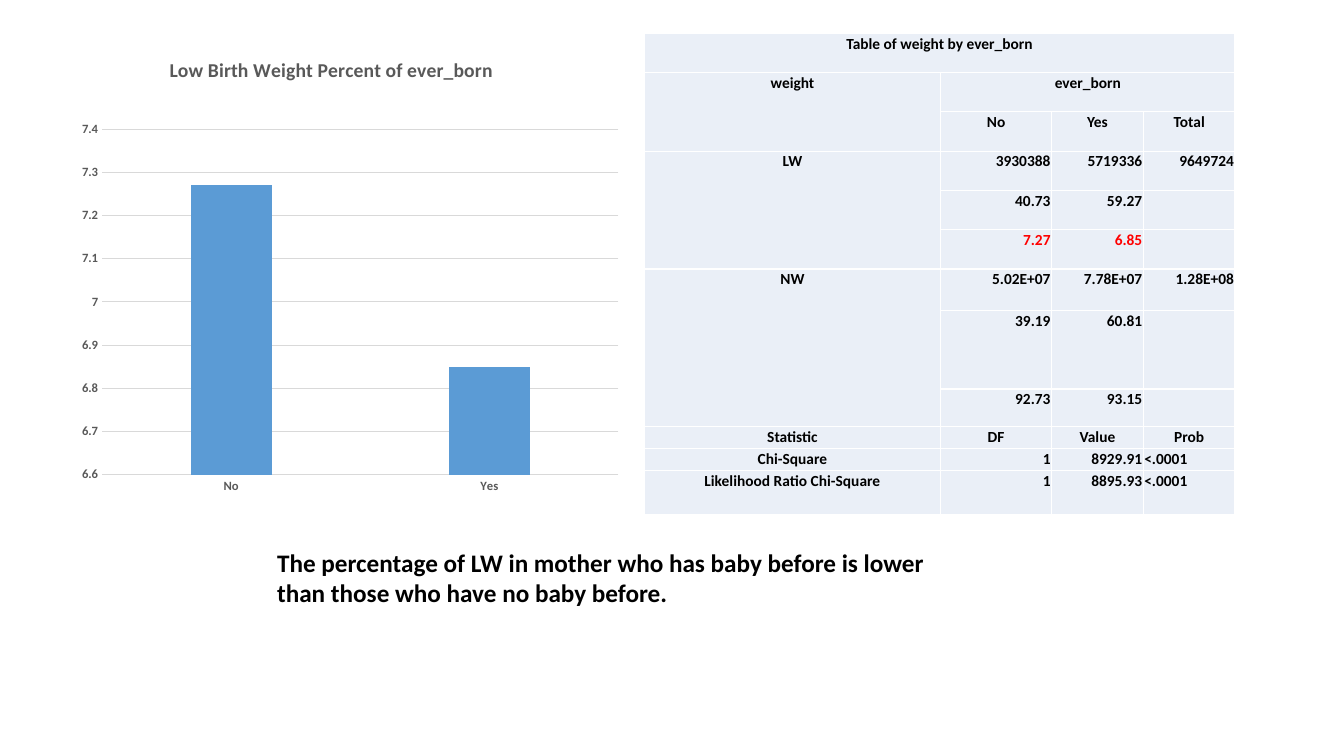
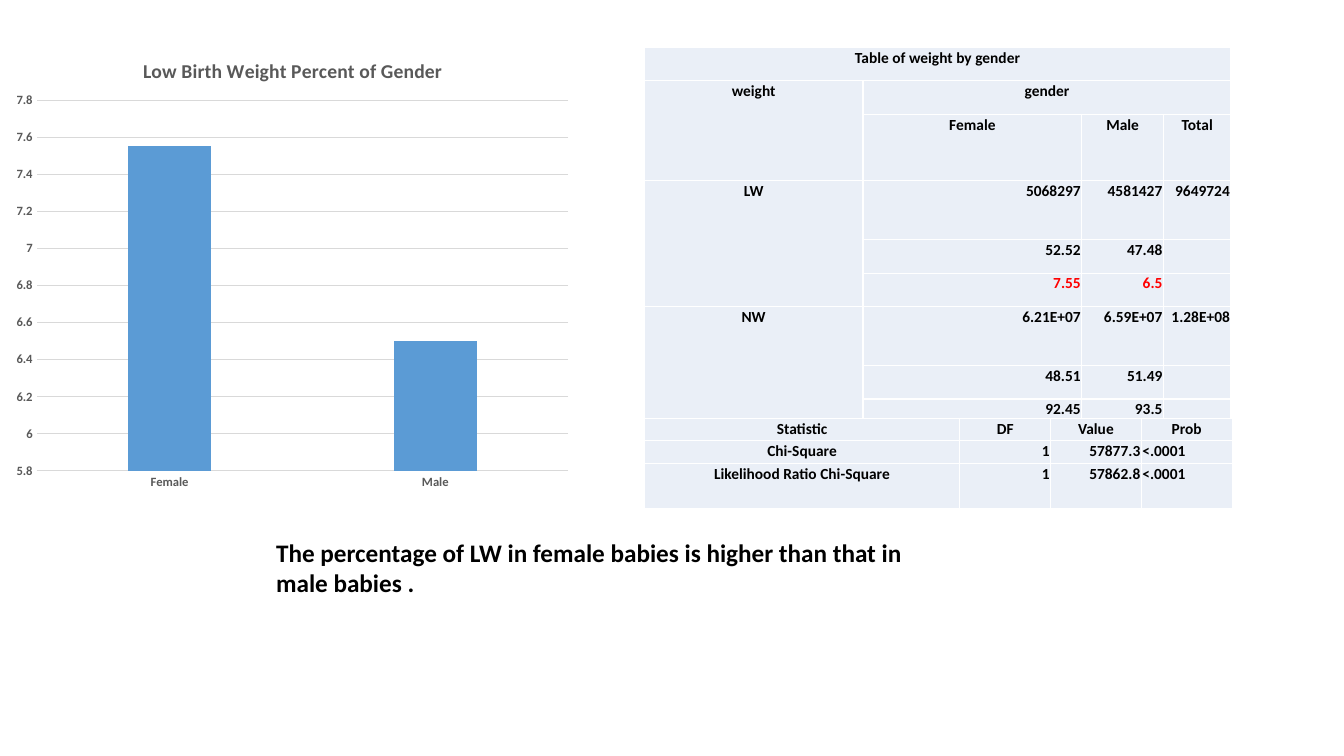
from lxml import etree
from pptx import Presentation
from pptx.chart.data import CategoryChartData
from pptx.dml.color import RGBColor
from pptx.enum.chart import XL_CHART_TYPE, XL_TICK_MARK
from pptx.enum.text import MSO_AUTO_SIZE, PP_ALIGN
from pptx.oxml.ns import qn
from pptx.util import Inches, Pt

COLUMN = XL_CHART_TYPE.COLUMN_CLUSTERED
NO_TICK = XL_TICK_MARK.NONE
GROW = MSO_AUTO_SIZE.SHAPE_TO_FIT_TEXT
LEFT, MID, RIGHT = PP_ALIGN.LEFT, PP_ALIGN.CENTER, PP_ALIGN.RIGHT

BLACK = RGBColor(0x00, 0x00, 0x00)
WHITE = RGBColor(0xFF, 0xFF, 0xFF)
RED = RGBColor(0xFF, 0x00, 0x00)
GREY = RGBColor(0x59, 0x59, 0x59)
PALE = RGBColor(0xD9, 0xD9, 0xD9)
BLUE = RGBColor(0x5B, 0x9B, 0xD5)
TINT = RGBColor(0xEA, 0xEF, 0xF7)

FACE = "Calibri"
BLANK = 6
SPANS = [(0, 0, 0, 3), (1, 0, 2, 0), (1, 1, 1, 3), (3, 0, 5, 0), (6, 0, 8, 0)]


def style(font, size, color):
    font.name, font.size, font.bold = FACE, Pt(size), True
    font.color.rgb = color


def place(part, index, **sizes):
    """Fix the layout of a chart part, in fractions of the chart."""
    old = part.find(qn("c:layout"))
    if old is not None:
        part.remove(old)
    layout = etree.Element(qn("c:layout"))
    manual = etree.SubElement(layout, qn("c:manualLayout"))
    if "w" in sizes:
        etree.SubElement(manual, qn("c:layoutTarget"), val="inner")
    for key in ("x", "y"):
        etree.SubElement(manual, qn(f"c:{key}Mode"), val="edge")
    for key, value in sizes.items():
        etree.SubElement(manual, qn(f"c:{key}"), val=str(value))
    part.insert(index, layout)


def edge(cell):
    """Draw a thin white line on each side of a cell."""
    props = cell._tc.get_or_add_tcPr()
    for side in "LRTB":
        line = etree.SubElement(props, qn(f"a:ln{side}"), w=str(Pt(1)))
        fill = etree.SubElement(line, qn("a:solidFill"))
        etree.SubElement(fill, qn("a:srgbClr"), val=str(WHITE))


class Deck:
    def __init__(self):
        self.prs = Presentation()
        self.prs.slide_width = Inches(13.33)
        self.prs.slide_height = Inches(7.5)
        self.slide = None

    def add(self):
        self.slide = self.prs.slides.add_slide(self.prs.slide_layouts[BLANK])

    def chart(self, box, title, left, bars, scale, plot):
        """Draw columns; scale is low, high and step of the value axis."""
        data = CategoryChartData()
        data.categories = list(bars)
        data.add_series("Series 1", bars.values())
        chart = self.slide.shapes.add_chart(
            COLUMN, *map(Inches, box), data).chart
        style(chart.font, 10, BLACK)
        chart.has_legend = False
        chart.has_title = True
        head = chart.chart_title
        head.text_frame.text = title
        style(head.text_frame.paragraphs[0].runs[0].font, 14, GREY)
        root = chart._chartSpace
        place(root.find(".//" + qn("c:title")), 1, x=left, y=0.04)
        place(root.find(".//" + qn("c:plotArea")), 0,
              **dict(zip("xywh", plot)))

        cols = chart.plots[0]
        cols.vary_by_categories = False
        cols.gap_width, cols.overlap = 219, -27
        fill = cols.series[0].format.fill
        fill.solid()
        fill.fore_color.rgb = BLUE

        cats, vals = chart.category_axis, chart.value_axis
        for axis in (cats, vals):
            axis.major_tick_mark = axis.minor_tick_mark = NO_TICK
            style(axis.tick_labels.font, 9, GREY)
        vals.minimum_scale, vals.maximum_scale, vals.major_unit = scale
        vals.tick_labels.number_format = "General"
        vals.tick_labels.number_format_is_linked = False
        vals.has_major_gridlines = True
        vals.format.line.fill.background()
        for line in (cats.format.line, vals.major_gridlines.format.line):
            line.color.rgb = PALE
            line.width = Pt(0.75)

    def table(self, spot, wide, high, rows, heads=1, spans=(), hot=None):
        """Draw a table; heads counts heading rows, hot is the red row."""
        table = self.slide.shapes.add_table(
            len(high), len(wide), *map(Inches, spot),
            Inches(sum(wide)), Inches(sum(high))).table
        table.first_row = table.horz_banding = False
        for col, size in zip(table.columns, wide):
            col.width = Inches(size)
        for row, size in zip(table.rows, high):
            row.height = Inches(size)
        for r, row in enumerate(rows):
            for c, text in enumerate(row):
                side = MID if r < heads or c == 0 else RIGHT
                if text.startswith("<"):
                    side = LEFT
                color = RED if r == hot else BLACK
                self.cell(table.cell(r, c), text, side, color)
        for top, left, low, right in spans:
            table.cell(top, left).merge(table.cell(low, right))

    def cell(self, cell, text, side, color):
        edge(cell)
        cell.fill.solid()
        cell.fill.fore_color.rgb = TINT
        cell.margin_left = cell.margin_right = Inches(0.01)
        cell.margin_top, cell.margin_bottom = Inches(0.01), 0
        para = cell.text_frame.paragraphs[0]
        para.alignment = side
        if text:
            para.text = text
            style(para.runs[0].font, 11, color)
        else:
            etree.SubElement(para._p, qn("a:endParaRPr"), sz="1100")

    def note(self, box, text):
        frame = self.slide.shapes.add_textbox(*map(Inches, box)).text_frame
        frame.word_wrap = True
        frame.auto_size = GROW
        frame.text = text
        style(frame.paragraphs[0].runs[0].font, 18, BLACK)

    def cross(self, spot, wide, high, name, pair, low, normal):
        """Draw a cross table of weight; low and normal hold three rows."""
        rows = [[f"Table of weight by {name}", "", "", ""],
                ["weight", name, "", ""],
                ["", *pair, "Total"]]
        for label, group in (("LW", low), ("NW", normal)):
            for i, row in enumerate(group):
                rest = [""] * (3 - len(row))
                rows.append([label if i == 0 else "", *row, *rest])
        self.table(spot, wide, high, rows, 3, SPANS, 5)

    def test(self, spot, wide, high, chi, ratio):
        self.table(spot, wide, high, [
            ["Statistic", "DF", "Value", "Prob"],
            ["Chi-Square", "1", chi, "<.0001"],
            ["Likelihood Ratio Chi-Square", "1", ratio, "<.0001"]])


def main():
    deck = Deck()

    deck.add()
    deck.chart((0.38, 0.33, 5.76, 4.76),
               "Low Birth Weight Percent of ever_born", 0.22,
               {"No": 7.27, "Yes": 6.85}, (6.6, 7.4, 0.1),
               (0.11, 0.2, 0.89, 0.72))
    wide = [2.94, 1.1, 0.91, 0.91]
    deck.cross((6.39, 0.33), wide, [0.39] * 6 + [0.41, 0.78, 0.46],
               "ever_born", ["No", "Yes"],
               [["3930388", "5719336", "9649724"],
                ["40.73", "59.27"], ["7.27", "6.85"]],
               [["5.02E+07", "7.78E+07", "1.28E+08"],
                ["39.19", "60.81"], ["92.73", "93.15"]])
    deck.test((6.39, 4.23), wide, [0.22, 0.22, 0.44], "8929.91", "8895.93")
    deck.note((2.65, 5.38, 6.68, 0.71),
              "The percentage of LW in mother who has baby before is lower "
              "than those who have no baby before.")

    deck.add()
    deck.chart((0.08, 0.35, 5.67, 4.6),
               "Low Birth Weight Percent of Gender", 0.23,
               {"Female": 7.55, "Male": 6.5}, (5.8, 7.8, 0.2),
               (0.05, 0.14, 0.93, 0.8))
    deck.cross((6.39, 0.47), [2.17, 2.17, 0.81, 0.67],
               [0.33, 0.34, 0.65] + [0.59, 0.33, 0.33] + [0.59, 0.33, 0.21],
               "gender", ["Female", "Male"],
               [["5068297", "4581427", "9649724"],
                ["52.52", "47.48"], ["7.55", "6.5"]],
               [["6.21E+07", "6.59E+07", "1.28E+08"],
                ["48.51", "51.49"], ["92.45", "93.5"]])
    deck.test((6.39, 4.15), [3.13, 0.9, 0.9, 0.9], [0.22, 0.23, 0.45],
              "57877.3", "57862.8")
    deck.note((2.64, 5.28, 6.67, 0.71),
              "The percentage of LW in female babies is higher than that in "
              "male babies .")

    deck.prs.save("out.pptx")


if __name__ == "__main__":
    main()
